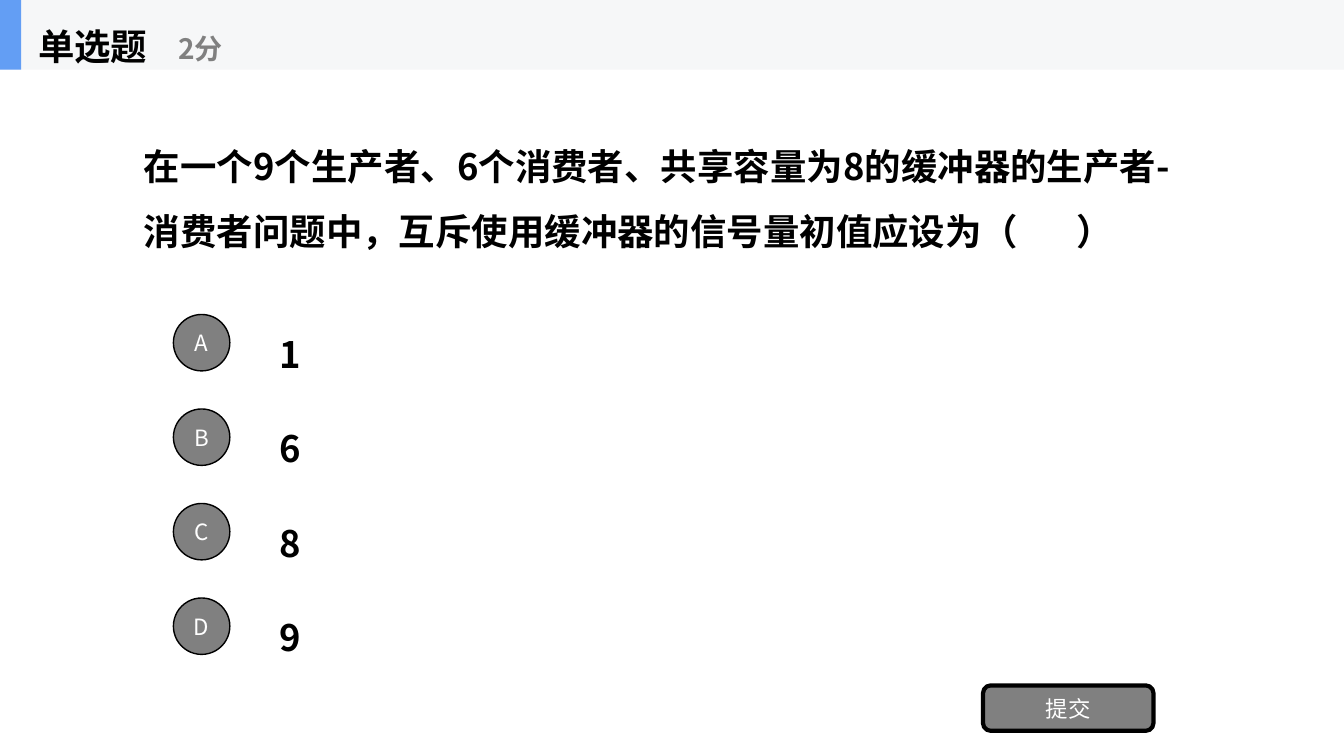
from typing import NamedTuple

from lxml import etree
from pptx import Presentation
from pptx.dml.color import RGBColor
from pptx.enum.shapes import MSO_SHAPE
from pptx.enum.text import MSO_ANCHOR, PP_ALIGN
from pptx.oxml.ns import qn
from pptx.util import Inches, Pt

ELLIPSE, RECT, ROUNDED = MSO_SHAPE.OVAL, MSO_SHAPE.RECTANGLE, MSO_SHAPE.ROUNDED_RECTANGLE
MIDDLE = MSO_ANCHOR.MIDDLE
LEFT, CENTER = PP_ALIGN.LEFT, PP_ALIGN.CENTER

FONT = "Noto Sans CJK SC"
BLACK, GRAY, WHITE = "000000", "808080", "FFFFFF"
HEADER_FILL, ACCENT = "F6F7F8", "639EF4"
SLIDE_WIDTH, SLIDE_HEIGHT = 13.33, 7.5
HEADER_HEIGHT = 0.69
FIRST_OPTION_TOP, OPTION_STEP = 3.05, 0.9375
BADGE_SIZE, BADGE_INSET = 0.56, 0.07
BLANK_GAP = 3500  # extra width of the answer blank, in hundredths of a point


class Box(NamedTuple):
    left: float
    top: float
    width: float
    height: float

    def lengths(self) -> list:
        return [Inches(value) for value in self]


class Option(NamedTuple):
    letter: str
    answer: str


HEADING = {"size": Pt(26), "bold": True, "color": BLACK}
POINTS = {"size": Pt(20), "bold": True, "color": GRAY}
BUTTON = {"size": Pt(16), "bold": False, "color": WHITE}

OPTIONS = [Option("A", "1"), Option("B", "6"), Option("C", "8"), Option("D", "9")]


def rgb(value: str) -> RGBColor:
    return RGBColor.from_string(value)


def add_run(paragraph, text: str, style: dict):
    run = paragraph.add_run()
    run.text = text
    for key, value in style.items():
        if key == "color":
            run.font.color.rgb = rgb(value)
        else:
            setattr(run.font, key, value)
    run.font.name = FONT
    etree.SubElement(run.font._element, qn("a:ea"), typeface=FONT)
    return run


def add_text(shapes, box: Box, text: str, style: dict, wrap: bool = True):
    """Add a left-aligned text box and return its paragraph."""
    frame = shapes.add_textbox(*box.lengths()).text_frame
    frame.word_wrap = wrap
    frame.vertical_anchor = MIDDLE
    paragraph = frame.paragraphs[0]
    paragraph.alignment = LEFT
    paragraph.line_spacing = 1.5
    add_run(paragraph, text, style)
    return paragraph


def add_block(shapes, kind, box: Box, fill: str):
    block = shapes.add_shape(kind, *box.lengths())
    block.shadow.inherit = False
    block.fill.solid()
    block.fill.fore_color.rgb = rgb(fill)
    block.line.fill.background()
    return block


def add_button(shapes, kind, box: Box, label: str, border: float) -> None:
    button = add_block(shapes, kind, box, GRAY)
    button.line.color.rgb = rgb(BLACK)
    button.line.width = Pt(border)
    button.text_frame.vertical_anchor = MIDDLE
    paragraph = button.text_frame.paragraphs[0]
    paragraph.alignment = CENTER
    add_run(paragraph, label, BUTTON)


def add_question(shapes) -> None:
    stem = add_text(
        shapes,
        Box(1.33, 0.69, 10.67, 2.34),
        "在一个9个生产者、6个消费者、共享容量为8的缓冲器的生产者-消费者问题中，"
        "互斥使用缓冲器的信号量初值应设为（",
        HEADING,
    )
    blank = add_run(stem, " ", HEADING)
    blank.font._element.set("spc", str(BLANK_GAP))
    add_run(stem, "）", HEADING)


def add_options(shapes) -> None:
    tops = [FIRST_OPTION_TOP + row * OPTION_STEP for row in range(len(OPTIONS))]
    for top, option in zip(tops, OPTIONS):
        add_text(shapes, Box(2.67, top, 9.33, 0.7), option.answer, HEADING)
    for top, option in zip(tops, OPTIONS):
        badge = Box(1.72, top + BADGE_INSET, BADGE_SIZE, BADGE_SIZE)
        add_button(shapes, ELLIPSE, badge, option.letter, 1)


def add_header(shapes) -> None:
    header = shapes.add_group_shape().shapes
    add_block(header, RECT, Box(0, 0, SLIDE_WIDTH, HEADER_HEIGHT), HEADER_FILL)
    add_block(header, RECT, Box(0, 0, 0.21, HEADER_HEIGHT), ACCENT)
    add_text(header, Box(0.28, 0, 2.08, HEADER_HEIGHT), "单选题", HEADING, wrap=False)
    add_text(header, Box(1.67, 0.12, 2.5, 0.56), "2分", POINTS, wrap=False)


def main() -> None:
    deck = Presentation()
    deck.slide_width, deck.slide_height = Inches(SLIDE_WIDTH), Inches(SLIDE_HEIGHT)
    shapes = deck.slides.add_slide(deck.slide_layouts[6]).shapes
    add_question(shapes)
    add_options(shapes)
    add_button(shapes, ROUNDED, Box(9.75, 6.8, 1.69, 0.45), "提交", 3)
    add_header(shapes)
    deck.save("out.pptx")


if __name__ == "__main__":
    main()
